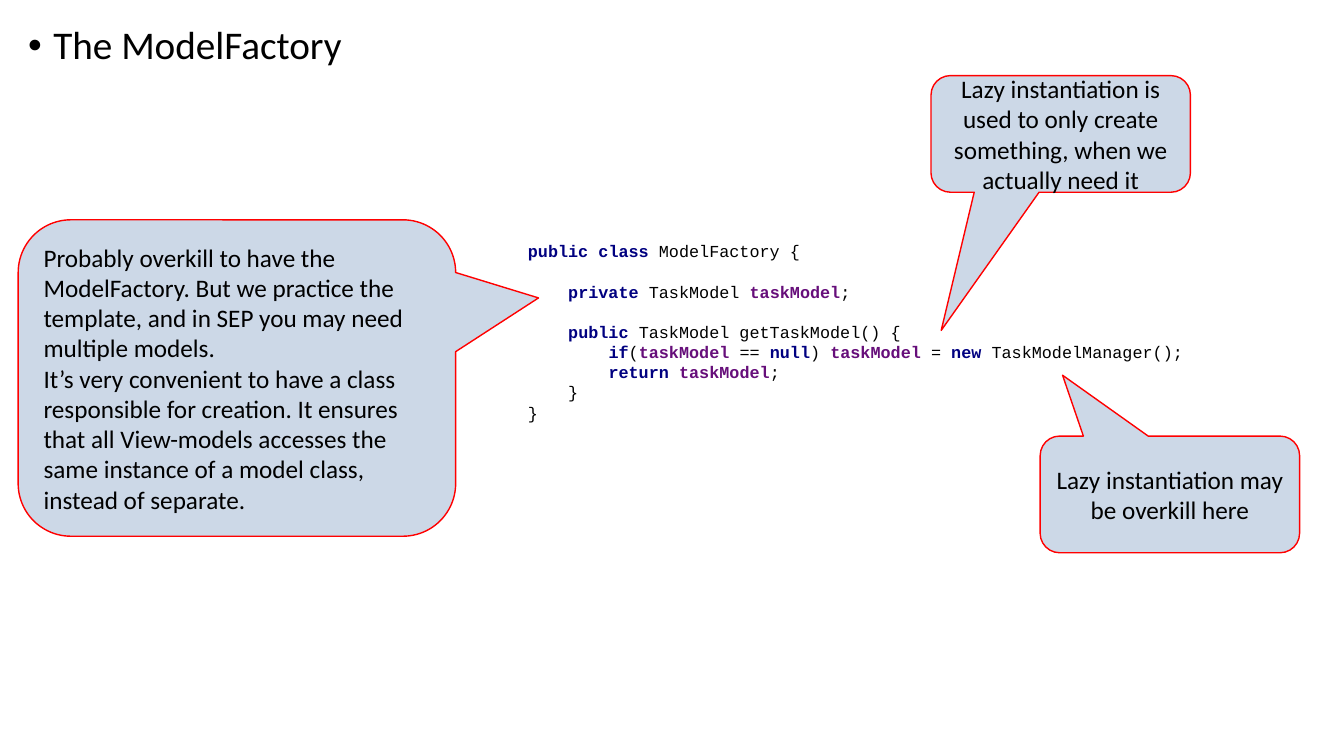
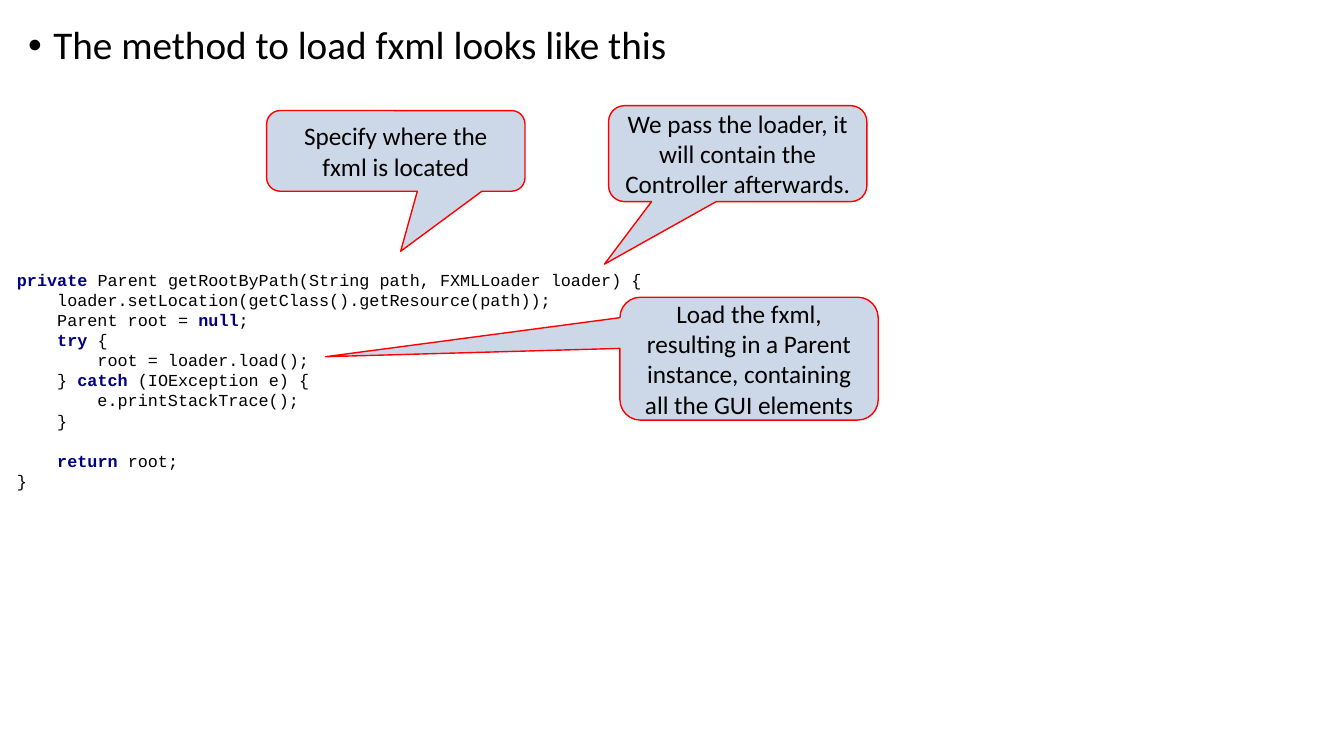
from itertools import groupby

from lxml import etree
from pptx import Presentation
from pptx.dml.color import RGBColor
from pptx.enum.shapes import MSO_SHAPE
from pptx.enum.text import MSO_ANCHOR, PP_ALIGN
from pptx.oxml.ns import qn
from pptx.util import Pt

CALLOUT = MSO_SHAPE.ROUNDED_RECTANGULAR_CALLOUT
MIDDLE = MSO_ANCHOR.MIDDLE
LEFT, CENTER = PP_ALIGN.LEFT, PP_ALIGN.CENTER

BLACK, WHITE, NAVY, PURPLE = "000000", "FFFFFF", "000080", "660E7A"
PALE, RED = "CCD8E7", "FF0000"
SANS, MONO = "Calibri", "Courier New"
LINE = 14.4
KEYS = {"public", "private", "class", "if", "null", "new", "return", "try", "catch"}
FIELDS = {"taskModel"}

FACTORY = """public class ModelFactory {

    private TaskModel taskModel;

    public TaskModel getTaskModel() {
        if(taskModel == null) taskModel = new TaskModelManager();
        return taskModel;
    }
}"""

LOADER = """private Parent getRootByPath(String path, FXMLLoader loader) {
    loader.setLocation(getClass().getResource(path));
    Parent root = null;
    try {
        root = loader.load();
    } catch (IOException e) {
        e.printStackTrace();
    }

    return root;
}"""

OVERKILL = [
    "Probably overkill to have the ModelFactory. But we practice the template, "
    "and in SEP you may need multiple models.",
    "It’s very convenient to have a class responsible for creation. It ensures "
    "that all View-models accesses the same instance of a model class, instead of separate.",
]


def paint(part, color):
    """Give a fill or a font colour a solid hex colour."""
    if hasattr(part, "solid"):
        part.solid()
        part = part.fore_color
    part.rgb = RGBColor.from_string(color)


def style(font, name, size, color=None):
    """Set the face, size and optional colour of a font."""
    font.name = name
    font.size = Pt(size)
    if color:
        paint(font.color, color)


def add_box(slide, box):
    """Add a wrapping text box at box and return it."""
    shape = slide.shapes.add_textbox(*map(Pt, box))
    shape.text_frame.word_wrap = True
    return shape


def add_title(slide, text):
    """Place the bulleted heading at the top of a slide."""
    para = add_box(slide, (13, 15, 932, 51)).text_frame.paragraphs[0]
    para.text = text
    para.line_spacing = 0.9
    props = para._p.get_or_add_pPr()
    props.set("marL", str(Pt(18)))
    props.set("indent", str(Pt(-18)))
    etree.SubElement(props, qn("a:buFont")).set("typeface", "Arial")
    etree.SubElement(props, qn("a:buChar")).set("char", "•")
    style(para.font, SANS, 28, BLACK)


def tint(word):
    """Return the colour of a word of code."""
    if word in KEYS:
        return NAVY
    return PURPLE if word in FIELDS else BLACK


def add_code(slide, box, code):
    """Place highlighted code, one paragraph for each line."""
    shape = add_box(slide, box)
    paint(shape.fill, WHITE)
    frame = shape.text_frame
    frame.vertical_anchor = MIDDLE
    para, gap = frame.paragraphs[0], 0
    for line in code.split("\n"):
        if not line:
            gap += LINE
            continue
        if para.runs:
            para = frame.add_paragraph()
            para.space_before = Pt(gap)
        gap = 0
        para.line_spacing = Pt(LINE)
        style(para.font, MONO, 12)
        words = ["".join(part) for _, part in groupby(line, str.isalnum)]
        for color, part in groupby(words, tint):
            run = para.add_run()
            run.text = "".join(part)
            run.font.bold = color != BLACK
            paint(run.font.color, color)


def add_note(slide, box, tip, texts, align=CENTER):
    """Place a callout at box whose tail ends at the point tip."""
    left, top, width, height = box
    shape = slide.shapes.add_shape(CALLOUT, *map(Pt, box))
    shape.shadow.inherit = False
    shape.adjustments[0] = (tip[0] - left) / width - 0.5
    shape.adjustments[1] = (tip[1] - top) / height - 0.5
    paint(shape.fill, PALE)
    paint(shape.line.fill, RED)
    shape.line.width = Pt(1)
    frame = shape.text_frame
    frame.word_wrap = True
    frame.vertical_anchor = MIDDLE
    frame.text = "\n".join(texts)
    for para in frame.paragraphs:
        para.alignment = align
        style(para.font, SANS, 18, BLACK)


def fill_factory(slide):
    """Build the slide on the model factory."""
    add_title(slide, "The ModelFactory")
    add_code(slide, (370, 167.8, 490, 138.2), FACTORY)
    add_note(slide, (743, 311.5, 185.3, 83.3), (759, 268),
             ["Lazy instantiation may be overkill here"])
    add_note(slide, (13, 157, 312.5, 226), (384.7, 212.8), OVERKILL, LEFT)
    add_note(slide, (665, 54, 185.3, 83.3), (672.3, 236),
             ["Lazy instantiation is used to only create something, when we actually need it"])


def fill_loader(slide):
    """Build the slide on loading fxml."""
    add_code(slide, (5, 188, 469, 167), LOADER)
    add_title(slide, "The method to load fxml looks like this")
    add_note(slide, (190.5, 79, 184.5, 57.6), (286.2, 179.5),
             ["Specify where the fxml is located"])
    add_note(slide, (442.8, 212.3, 184.5, 87.8), (232.6, 254.8),
             ["Load the fxml, resulting in a Parent instance, containing all the GUI elements"])
    add_note(slide, (434.7, 75.5, 184.5, 68.5), (431.7, 188.7),
             ["We pass the loader, it will contain the Controller afterwards."])


def main():
    """Build and save the deck."""
    deck = Presentation()
    deck.slide_width, deck.slide_height = Pt(960), Pt(540)
    for fill in (fill_factory, fill_loader):
        fill(deck.slides.add_slide(deck.slide_layouts[6]))
    deck.save("out.pptx")


if __name__ == "__main__":
    main()
